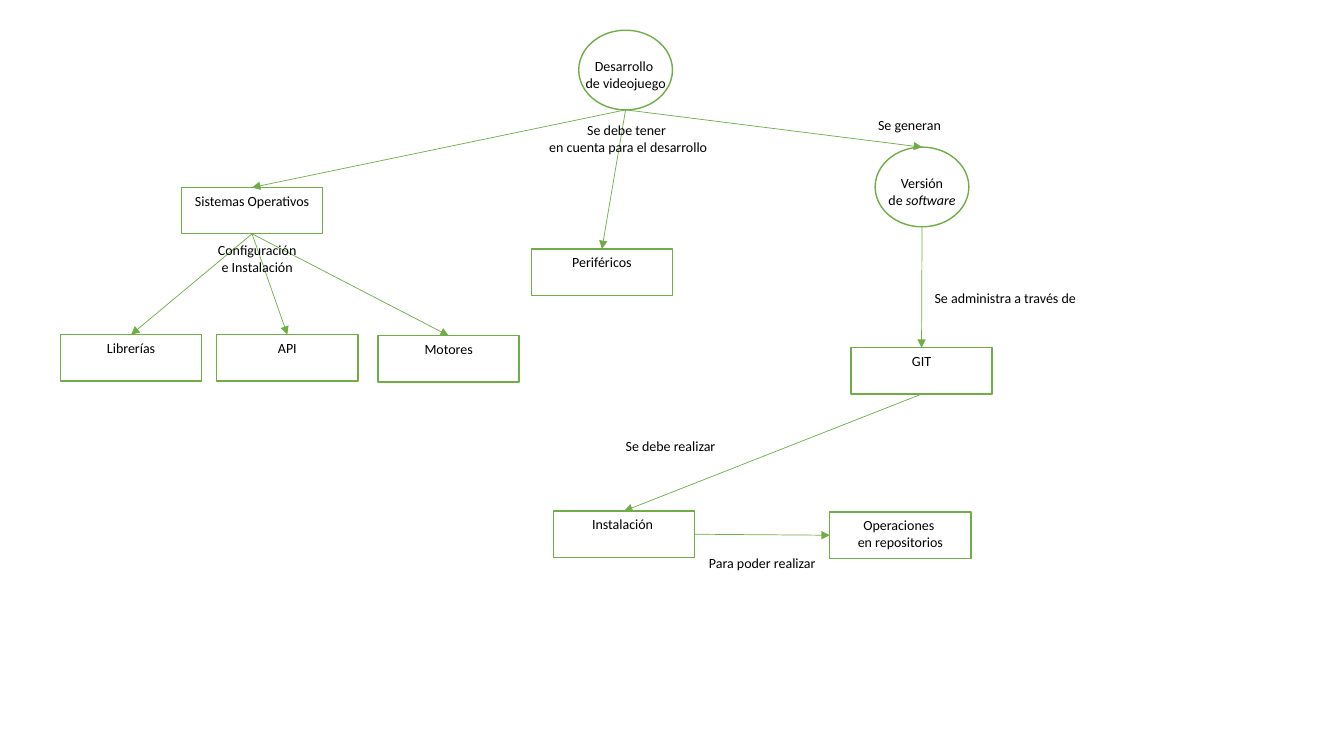
from lxml.etree import SubElement
from pptx import Presentation
from pptx.dml.color import RGBColor
from pptx.enum.shapes import MSO_CONNECTOR, MSO_SHAPE
from pptx.enum.text import MSO_AUTO_SIZE, PP_ALIGN
from pptx.oxml.ns import qn
from pptx.util import Inches, Pt

GREEN = "70AD47"
BLACK = "000000"
TOP, LEFT, BOTTOM, RIGHT = range(4)


def color(code):
    return RGBColor.from_string(code)


class Chart:
    font = {"name": "Calibri", "size": Pt(10)}
    frame = {"word_wrap": False, "auto_size": MSO_AUTO_SIZE.SHAPE_TO_FIT_TEXT}

    def __init__(self, slide):
        self.shapes = slide.shapes

    def text(self, mid, top, width, *lines):
        """Centre lines on mid; a line is a string, or (plain, italic)."""
        height = 0.1 + 0.17 * len(lines)
        box = self.shapes.add_textbox(Inches(mid - width / 2), Inches(top),
                                      Inches(width), Inches(height))
        frame = box.text_frame
        for key, val in self.frame.items():
            setattr(frame, key, val)
        for num, line in enumerate(lines):
            para = frame.add_paragraph() if num else frame.paragraphs[0]
            para.alignment = PP_ALIGN.CENTER
            parts = (line,) if isinstance(line, str) else line
            for pos, part in enumerate(parts):
                run = para.add_run()
                run.text = part
                for key, val in self.font.items():
                    setattr(run.font, key, val)
                run.font.color.rgb = color(BLACK)
                if pos:
                    run.font.italic = True

    def shape(self, kind, left, top, width, height):
        item = self.shapes.add_shape(kind, Inches(left), Inches(top),
                                     Inches(width), Inches(height))
        item.shadow.inherit = False
        item.fill.background()
        item.line.color.rgb = color(GREEN)
        item.line.width = Pt(1)
        return item

    def box(self, left, top, width, *lines):
        item = self.shape(MSO_SHAPE.RECTANGLE, left, top, 1.4, 0.46)
        self.text(left + 0.7, top, width, *lines)
        return item

    def circle(self, left, top, width, *lines):
        item = self.shape(MSO_SHAPE.OVAL, left, top, 0.93, 0.79)
        self.text(left + 0.465, top + 0.22, width, *lines)
        return item

    def arrow(self, start, end, out=BOTTOM, into=TOP):
        line = self.shapes.add_connector(
            MSO_CONNECTOR.STRAIGHT, *self.point(start, out), *self.point(end, into))
        # Join rectangles only: ovals number their sites differently
        if start.auto_shape_type == MSO_SHAPE.RECTANGLE:
            line.begin_connect(start, out)
        if end.auto_shape_type == MSO_SHAPE.RECTANGLE:
            line.end_connect(end, into)
        line.line.color.rgb = color(GREEN)
        line.line.width = Pt(0.5)
        SubElement(line.line._get_or_add_ln(), qn("a:tailEnd"), type="triangle")
        SubElement(line._element.spPr, qn("a:effectLst"))

    @staticmethod
    def point(item, side):
        x, y = item.left + item.width // 2, item.top + item.height // 2
        return {TOP: (x, item.top), LEFT: (item.left, y),
                BOTTOM: (x, item.top + item.height),
                RIGHT: (item.left + item.width, y)}[side]


def main():
    deck = Presentation()
    deck.slide_width, deck.slide_height = Inches(13.33), Inches(7.5)
    chart = Chart(deck.slides.add_slide(deck.slide_layouts[6]))

    # Nodes
    game = chart.circle(5.74, 0.3, 1.01, "Desarrollo ", "de videojuego")
    soft = chart.circle(8.68, 1.46, 0.9, "Versión", ("de ", "software"))
    system = chart.box(1.8, 1.86, 1.36, "Sistemas Operativos")
    device = chart.box(5.27, 2.47, 0.81, "Periféricos")
    git = chart.box(8.44, 3.45, 0.39, "GIT")
    setup = chart.box(5.49, 5.07, 0.85, "Instalación ")
    tasks = chart.box(8.23, 5.08, 1.06, "Operaciones ", "en repositorios")
    api = chart.box(2.15, 3.32, 0.39, "API")
    libs = chart.box(0.6, 3.32, 0.69, "Librerías")
    motors = chart.box(3.75, 3.33, 0.69, "Motores")

    # Arrows
    for start, end in ((game, system), (game, device), (game, soft),
                       (soft, git), (git, setup), (system, api),
                       (system, libs), (system, motors)):
        chart.arrow(start, end)
    chart.arrow(setup, tasks, RIGHT, LEFT)

    # Link labels
    for label in (
        (6.23, 1.16, 1.79, "Se debe tener ", "en cuenta para el desarrollo"),
        (2.55, 2.35, 0.99, "Configuración", "e Instalación"),
        (9.02, 1.11, 0.84, "Se generan"),
        (9.97, 2.82, 1.63, "Se administra a través de"),
        (6.65, 4.29, 1.11, "Se debe realizar"),
        (7.56, 5.45, 1.28, "Para poder realizar"),
    ):
        chart.text(*label)

    deck.save("out.pptx")


if __name__ == "__main__":
    main()
